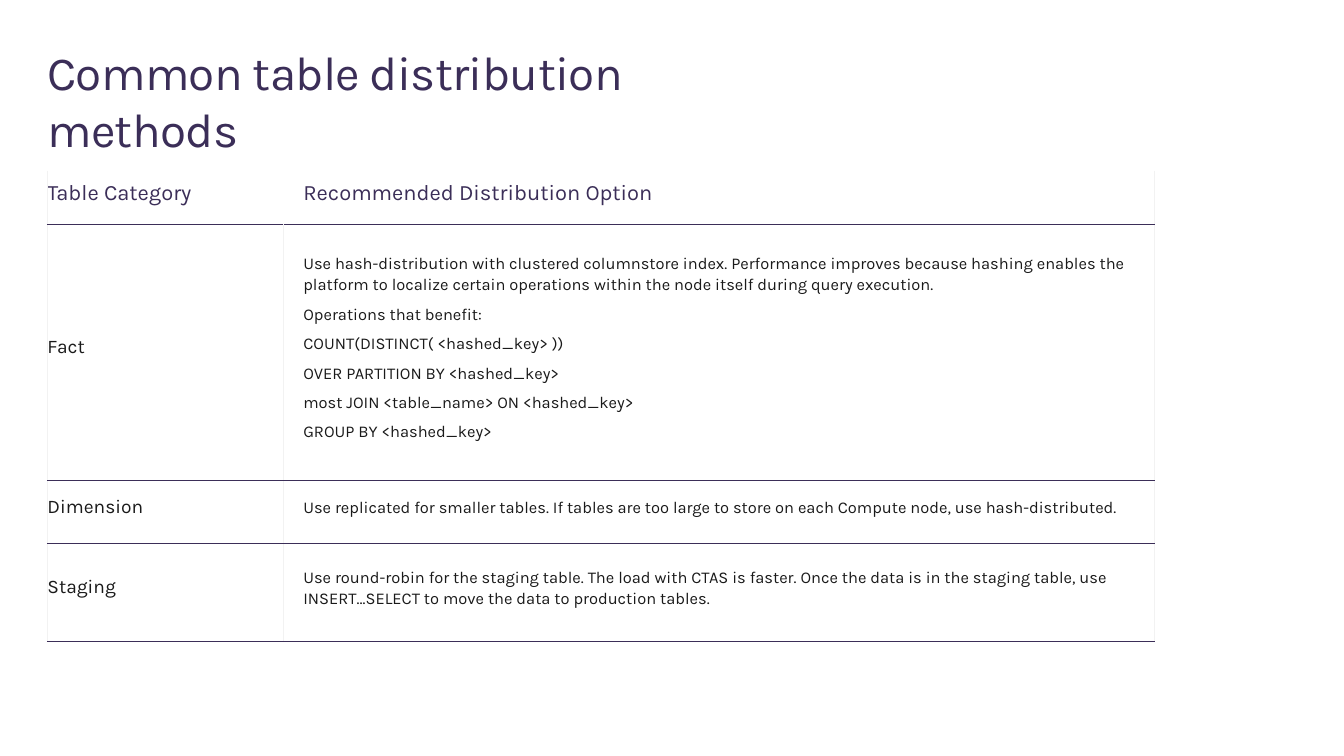
from lxml import etree
from pptx import Presentation, util as u
from pptx.dml.color import RGBColor
from pptx.enum import text
from pptx.oxml import ns

TITLE = "Common table distribution methods"
HEADERS = ("Table Category", "Recommended Distribution Option")
METHODS = [
    ("Fact", [
        "Use hash-distribution with clustered columnstore index. Performance improves because hashing "
        "enables the platform to localize certain operations within the node itself during query execution.",
        "Operations that benefit:",
        "COUNT(DISTINCT( <hashed_key> ))",
        "OVER PARTITION BY <hashed_key>",
        "most JOIN <table_name> ON <hashed_key>",
        "GROUP BY <hashed_key>",
    ]),
    ("Dimension", [
        "Use replicated for smaller tables. If tables are too large to store on each Compute node, "
        "use hash-distributed.",
    ]),
    ("Staging", [
        "Use round-robin for the staging table. The load with CTAS is faster. Once the data is in the "
        "staging table, use INSERT…SELECT to move the data to production tables.",
    ]),
]

WIDTH, HEIGHT = 13.6, 7.65
LEFT = 0.48
TABLE_TOP = 1.73
COLUMNS = (2.39, 8.81)
ROWS = (0.54, 2.59, 0.64, 0.99)
PURPLE, INK, PALE, WHITE = "3B2E58", "1A1A1A", "F2F2F2", "FFFFFF"
PLAIN_TABLE = "{2D5ABB26-0587-4C30-8999-92F81FD0307C}"


def colour(value):
    return RGBColor.from_string(value)


def write(frame, lines, size, ink, spacing=None, after=0, before=0, tracking=None):
    frame.word_wrap = True
    for index, line in enumerate(lines):
        para = frame.paragraphs[0] if index == 0 else frame.add_paragraph()
        para.alignment = text.PP_ALIGN.LEFT
        para.line_spacing = spacing
        para.space_before, para.space_after = u.Pt(before), u.Pt(after)
        span = para.add_run()
        span.text = line
        span.font.name, span.font.size = "Karla", u.Pt(size)
        span.font.color.rgb = colour(ink)
        if tracking:
            span.font._element.set("spc", str(int(tracking * 100)))


def set_margins(target, left, top, right, bottom):
    target.margin_left, target.margin_top = u.Inches(left), u.Inches(top)
    target.margin_right, target.margin_bottom = u.Inches(right), u.Inches(bottom)


def set_borders(cell, **sides):
    properties = cell._tc.get_or_add_tcPr()
    for side in "LRTB":
        line = etree.SubElement(properties, ns.qn("a:ln" + side), w=str(u.Pt(1)))
        if sides.get(side):
            fill = etree.SubElement(line, ns.qn("a:solidFill"))
            etree.SubElement(fill, ns.qn("a:srgbClr"), val=sides[side])
        else:
            etree.SubElement(line, ns.qn("a:noFill"))


def add_title(page):
    box = page.shapes.title
    box.left, box.top = u.Inches(LEFT), u.Inches(0.25)
    box.width, box.height = u.Inches(7.65), u.Inches(0.85)
    frame = box.text_frame
    frame.auto_size = text.MSO_AUTO_SIZE.NONE
    frame.vertical_anchor = text.MSO_ANCHOR.TOP
    set_margins(frame, 0, 0.18, 0, 0)
    write(frame, [TITLE], 34.7, PURPLE, tracking=-0.5)


def add_methods(page):
    table = page.shapes.add_table(
        len(ROWS), len(COLUMNS), u.Inches(LEFT), u.Inches(TABLE_TOP),
        u.Inches(sum(COLUMNS)), u.Inches(sum(ROWS))).table
    table.first_row = table.horz_banding = False
    table._tbl.tblPr.find(ns.qn("a:tableStyleId")).text = PLAIN_TABLE
    for column, width in zip(table.columns, COLUMNS):
        column.width = u.Inches(width)
    for row, height in zip(table.rows, ROWS):
        row.height = u.Inches(height)

    content = [[[header] for header in HEADERS]]
    content += [[[category], advice] for category, advice in METHODS]
    for r, entries in enumerate(content):
        for c, lines in enumerate(entries):
            cell = table.cell(r, c)
            inner = PALE if r else WHITE
            set_borders(cell, L=inner if c else PALE, R=PALE if c else inner,
                        T=PURPLE if r else None, B=PURPLE)
            cell.fill.background()
            indent = 0.2 if c else 0
            if r == 0:
                set_margins(cell, indent, 0.1, 0.02, 0.1)
                write(cell.text_frame, lines, 16, PURPLE, after=11.8)
                continue
            cell.vertical_anchor = text.MSO_ANCHOR.MIDDLE
            set_margins(cell, indent, 0.1, 0.1 if c else 0.2, 0.2)
            if c:
                write(cell.text_frame, lines, 12, INK, spacing=1.1, after=6)
            else:
                write(cell.text_frame, lines, 14, INK)


def main():
    deck = Presentation()
    deck.slide_width, deck.slide_height = u.Inches(WIDTH), u.Inches(HEIGHT)
    page = deck.slides.add_slide(deck.slide_layouts[5])
    add_title(page)
    add_methods(page)
    deck.save("out.pptx")


if __name__ == "__main__":
    main()
